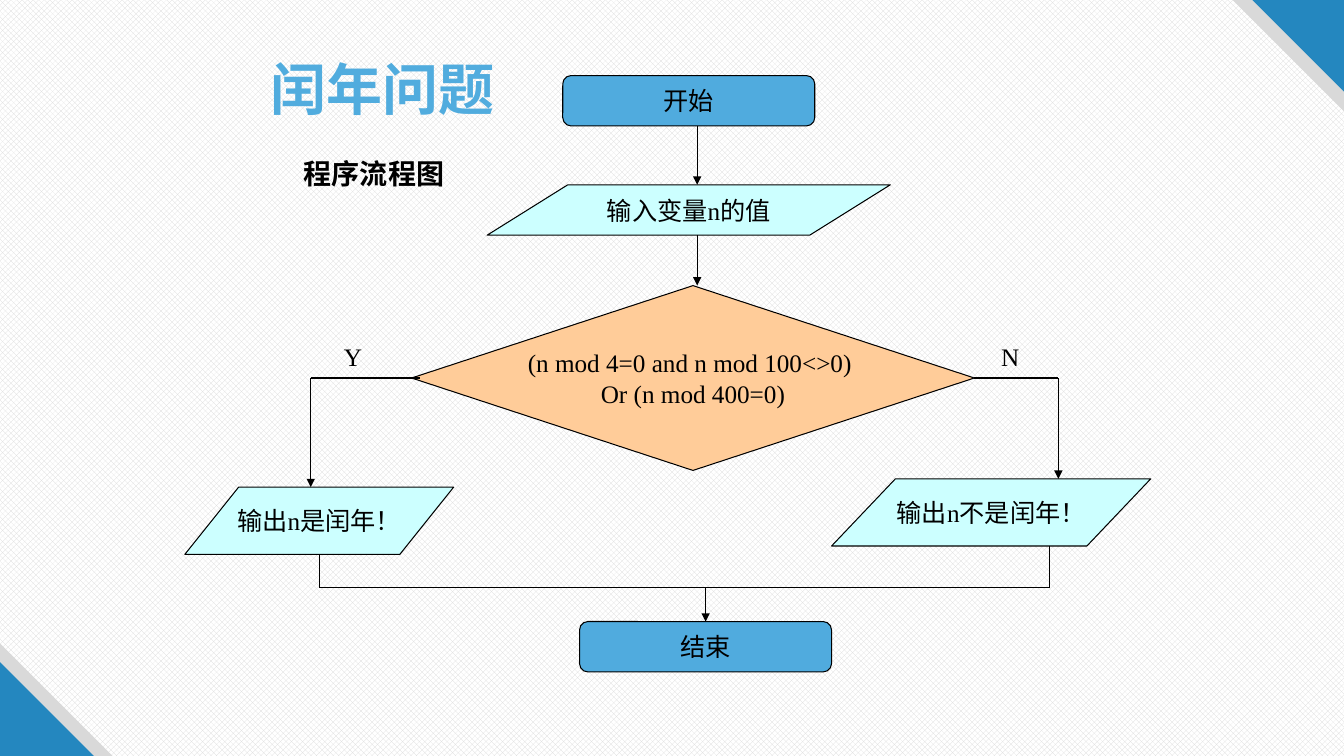
"""Build the leap-year flowchart slide."""
from lxml import etree
from pptx import Presentation
from pptx.dml.color import RGBColor
from pptx.enum import dml, shapes, text
from pptx.oxml import ns
from pptx.util import Pt

FONT = "Times New Roman"
BLACK, GREY, CORNER, TITLE = "000000", "D9D9D9", "2487BF", "51ACDE"
BLUE, CYAN, ORANGE = "50ABDE", "CCFFFF", "FFCC99"
TERMINAL = shapes.MSO_SHAPE.FLOWCHART_ALTERNATE_PROCESS
DATA = shapes.MSO_SHAPE.FLOWCHART_DATA
DECISION = shapes.MSO_SHAPE.FLOWCHART_DECISION


def color(value):
    return RGBColor.from_string(value)


def write(frame, content, size, align, ink=BLACK, bold=False):
    frame.text = content
    for paragraph in frame.paragraphs:
        paragraph.alignment = align
        paragraph.font.name = FONT
        paragraph.font.size = Pt(size)
        paragraph.font.bold = bold
        paragraph.font.color.rgb = color(ink)


presentation = Presentation()
presentation.slide_width, presentation.slide_height = Pt(960), Pt(540)
slide = presentation.slides.add_slide(presentation.slide_layouts[5])

background = slide.background.fill
background.patterned()
background.pattern = dml.MSO_PATTERN.OUTLINED_DIAMOND
background.fore_color.rgb = color(GREY)
background.back_color.rgb = color("FFFFFF")

for left, top, side, rotation, fill in [
    (880.5, 0, 79.5, 180, GREY),
    (894.5, 0, 65.5, 180, CORNER),
    (0, 459.5, 80.5, 0, GREY),
    (0, 473, 67, 0, CORNER),
]:
    corner = slide.shapes.add_shape(
        shapes.MSO_SHAPE.RIGHT_TRIANGLE, Pt(left), Pt(top), Pt(side), Pt(side))
    corner.rotation = rotation
    corner.shadow.inherit = False
    corner.fill.solid()
    corner.fill.fore_color.rgb = color(fill)
    corner.line.fill.background()

title = slide.shapes.title
title.left, title.top, title.width, title.height = Pt(186), Pt(18), Pt(210), Pt(90)
title.text_frame.vertical_anchor = text.MSO_ANCHOR.MIDDLE
write(title.text_frame, "闰年问题", 40, text.PP_ALIGN.LEFT, TITLE, True)

for kind, left, top, width, height, fill, content in [
    (TERMINAL, 402, 54, 180, 36, BLUE, "开始"),
    (DATA, 348, 132, 288, 36, CYAN, "输入变量n的值"),
    (DECISION, 294, 204, 402, 132, ORANGE,
     "(n mod 4=0 and n mod 100<>0) \nOr (n mod 400=0)"),
    (DATA, 132, 348, 192, 48, CYAN, "输出n是闰年！"),
    (DATA, 594, 342, 228, 48, CYAN, "输出n不是闰年！"),
    (TERMINAL, 414, 444, 180, 36, BLUE, "结束"),
]:
    node = slide.shapes.add_shape(kind, Pt(left), Pt(top), Pt(width), Pt(height))
    node.shadow.inherit = False
    node.fill.solid()
    node.fill.fore_color.rgb = color(fill)
    node.line.color.rgb = color(BLACK)
    node.line.width = Pt(0.75)
    node.text_frame.word_wrap = False
    node.text_frame.vertical_anchor = text.MSO_ANCHOR.MIDDLE
    write(node.text_frame, content, 18, text.PP_ALIGN.CENTER)

for x1, y1, x2, y2, arrow in [
    (498, 90, 498, 132, True),
    (498, 168, 498, 204, True),
    (300, 270, 222, 270, False),
    (222, 270, 222, 348, True),
    (696, 270, 756, 270, False),
    (756, 270, 756, 342, True),
    (228, 396, 228, 420, False),
    (750, 390, 750, 420, False),
    (750, 420, 228, 420, False),
    (504, 420, 504, 444, True),
]:
    line = slide.shapes.add_connector(
        shapes.MSO_CONNECTOR.STRAIGHT, Pt(x1), Pt(y1), Pt(x2), Pt(y2))
    line.line.color.rgb = color(BLACK)
    line.line.width = Pt(0.75)
    if arrow:
        outline = line._element.spPr.find(ns.qn("a:ln"))
        etree.SubElement(outline, ns.qn("a:tailEnd"), type="triangle")
    etree.SubElement(line._element.spPr, ns.qn("a:effectLst"))

for left, top, width, height, content, size, bold in [
    (238.5, 240, 27, 29, "Y", 18, False),
    (708, 240, 27, 29, "N", 18, False),
    (210, 108, 120, 32, "程序流程图", 20, True),
]:
    label = slide.shapes.add_textbox(Pt(left), Pt(top), Pt(width), Pt(height))
    label.text_frame.word_wrap = True
    write(label.text_frame, content, size, text.PP_ALIGN.LEFT, bold=bold)

presentation.save("out.pptx")
